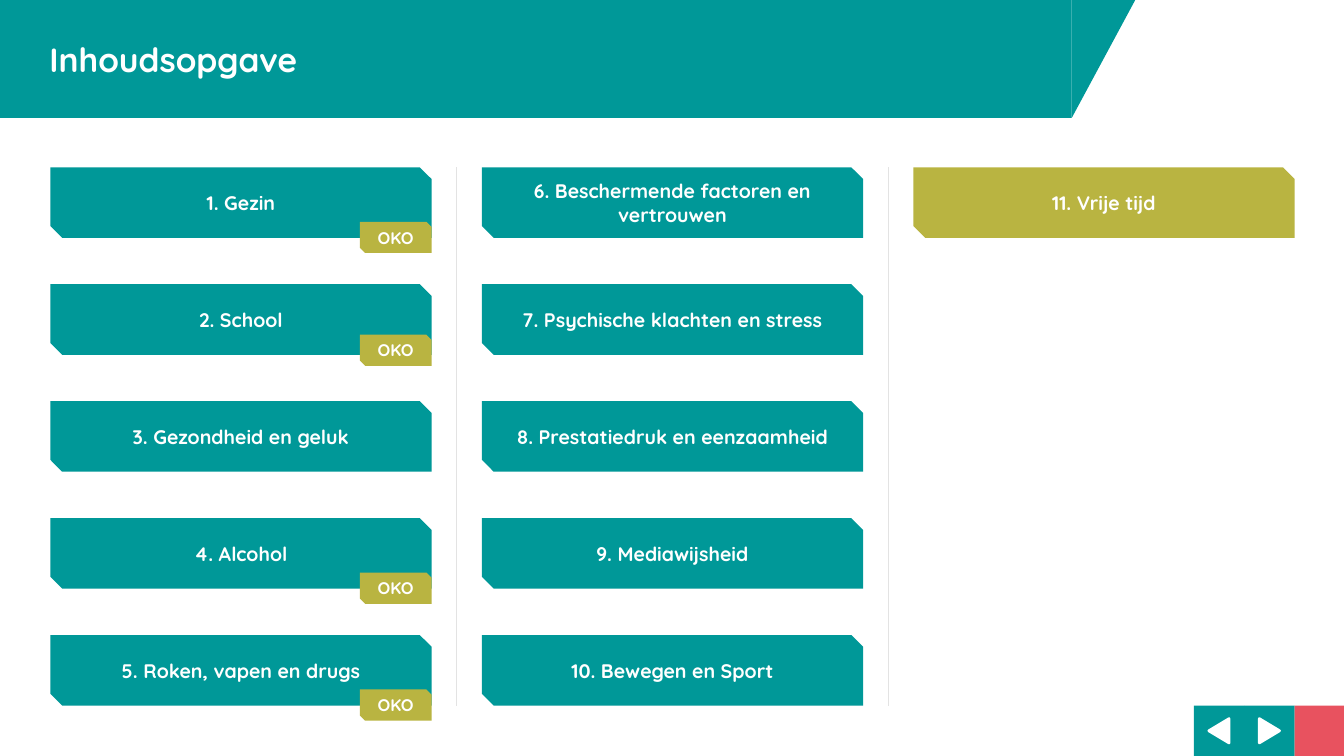
from lxml import etree
from pptx import Presentation
from pptx.dml.color import RGBColor
from pptx.enum.shapes import MSO_CONNECTOR, MSO_SHAPE
from pptx.enum.text import MSO_ANCHOR, PP_ALIGN
from pptx.oxml.ns import qn
from pptx.util import Inches, Pt

RECT = MSO_SHAPE.RECTANGLE
SNIPPED = MSO_SHAPE.SNIP_2_DIAG_RECTANGLE
TRIANGLE = MSO_SHAPE.ISOSCELES_TRIANGLE
RIGHT_TRIANGLE = MSO_SHAPE.RIGHT_TRIANGLE
STRAIGHT = MSO_CONNECTOR.STRAIGHT
MIDDLE = MSO_ANCHOR.MIDDLE
LEFT, CENTER = PP_ALIGN.LEFT, PP_ALIGN.CENTER

TEAL = RGBColor(0x00, 0x98, 0x98)
OLIVE = RGBColor(0xB9, 0xB4, 0x41)
RED = RGBColor(0xE8, 0x52, 0x5F)
GREY = RGBColor(0xE3, 0xE3, 0xE3)
WHITE = RGBColor(0xFF, 0xFF, 0xFF)
FONT = "Quicksand"

COLUMNS = [
    ["1. Gezin", "2. School", "3. Gezondheid en geluk", "4. Alcohol",
     "5. Roken, vapen en drugs"],
    ["6. Beschermende factoren en vertrouwen", "7. Psychische klachten en stress",
     "8. Prestatiedruk en eenzaamheid", "9. Mediawijsheid", "10. Bewegen en Sport"],
    ["11. Vrije tijd"],
]
HIGHLIGHTED = {"11. Vrije tijd"}
# Drop of the OKO tag below the top of its button
OKO_DROPS = {"1. Gezin": 0.54, "2. School": 0.5, "4. Alcohol": 0.54,
             "5. Roken, vapen en drugs": 0.54}

BUTTON_W, BUTTON_H = 3.78, 0.7
COLUMN_STEP, ROW_STEP = 4.28, 1.16
TAG_W, TAG_H = 0.71, 0.31
NAV_SIZE = 0.5
ARROW_W, ARROW_H = 0.24, 0.2


def add_block(s, kind, x, y, w, h, fill):
    sp = s.shapes.add_shape(kind, Inches(x), Inches(y), Inches(w), Inches(h))
    sp.shadow.inherit = False
    sp.fill.solid()
    sp.fill.fore_color.rgb = fill
    sp.line.fill.background()
    return sp


def set_label(sp, text, size, align=CENTER):
    tf = sp.text_frame
    tf.word_wrap = True
    tf.vertical_anchor = MIDDLE
    tf.text = text
    p = tf.paragraphs[0]
    p.alignment = align
    font = p.runs[0].font
    font.name, font.size, font.bold = FONT, Pt(size), True
    font.color.rgb = WHITE


def add_header(s, x, y, w, h):
    slant = add_block(s, RIGHT_TRIANGLE, x + w, y, 0.63, h, TEAL)
    slant.rotation = 180
    slant._element.spPr.xfrm.set("flipH", "1")
    bar = add_block(s, RECT, x, y, w, h, TEAL)
    set_label(bar, "Inhoudsopgave", 24, LEFT)
    bar.text_frame.margin_left = Inches(0.49)


def add_divider(s, x, top, bottom):
    line = s.shapes.add_connector(STRAIGHT, Inches(x), Inches(bottom),
                                  Inches(x), Inches(top))
    line.line.color.rgb = GREY
    line.line.width = Pt(1)
    etree.SubElement(line._element.spPr, qn("a:effectLst"))


def add_contents(s, x, y):
    """Place the topic buttons in columns, with dividers and OKO tags."""
    height = 4 * ROW_STEP + BUTTON_H
    gap = COLUMN_STEP - BUTTON_W
    for col, topics in enumerate(COLUMNS):
        left = x + col * COLUMN_STEP
        if col:
            add_divider(s, left - gap / 2, y, y + height)
        for row, topic in enumerate(topics):
            top = y + row * ROW_STEP
            fill = OLIVE if topic in HIGHLIGHTED else TEAL
            button = add_block(s, SNIPPED, left, top, BUTTON_W, BUTTON_H, fill)
            set_label(button, topic, 14)
            if topic in OKO_DROPS:
                tag = add_block(s, SNIPPED, left + BUTTON_W - TAG_W,
                                top + OKO_DROPS[topic], TAG_W, TAG_H, OLIVE)
                set_label(tag, "OKO", 12)


def add_navigation(s, x, y):
    for i, (fill, turn) in enumerate([(TEAL, 270), (TEAL, 90), (RED, None)]):
        left = x + i * NAV_SIZE
        add_block(s, RECT, left, y, NAV_SIZE, NAV_SIZE, fill)
        if turn is not None:
            arrow = add_block(s, TRIANGLE, left + (NAV_SIZE - ARROW_W) / 2,
                              y + (NAV_SIZE - ARROW_H) / 2, ARROW_W, ARROW_H, WHITE)
            arrow.rotation = turn
            arrow.line.color.rgb = WHITE
            arrow.line.width = Pt(2)


def main():
    prs = Presentation()
    prs.slide_width, prs.slide_height = Inches(13.33), Inches(7.5)
    s = prs.slides.add_slide(prs.slide_layouts[6])
    add_navigation(s, 11.84, 7)
    add_header(s, 0, 0, 10.63, 1.17)
    add_contents(s, 0.5, 1.66)
    prs.save("out.pptx")


if __name__ == "__main__":
    main()
